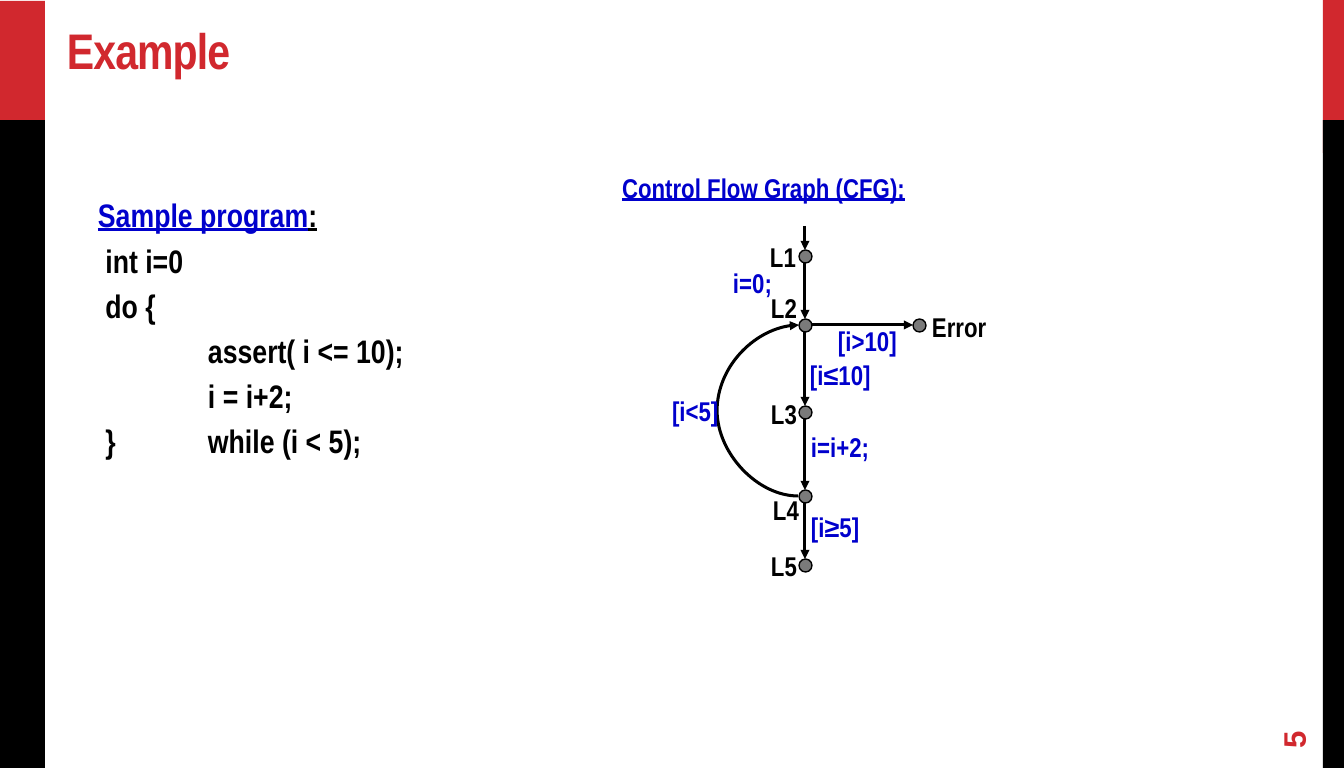
import pptx
import pptx.dml.color
import pptx.enum.shapes
import pptx.enum.text
import pptx.oxml.ns
import pptx.util
from lxml import etree

RED, BLACK, BLUE, GRAY = "D1282E", "000000", "0000CC", "7A7A7A"
EMU_PER_PX = 9375
ANCHOR = pptx.enum.text.MSO_ANCHOR
AUTO_SIZE = pptx.enum.text.MSO_AUTO_SIZE
SHAPE = pptx.enum.shapes.MSO_SHAPE
CONNECTOR = pptx.enum.shapes.MSO_CONNECTOR


def px(value):
    return pptx.util.Emu(value * EMU_PER_PX)


def color(hex_string):
    return pptx.dml.color.RGBColor.from_string(hex_string)


def add_xml(parent, tag, **attributes):
    return etree.SubElement(parent, pptx.oxml.ns.qn(tag), attributes)


def apply_format(target, values):
    for name, value in values.items():
        setattr(target, name, value)


class SlideBuilder:
    font_name = "Arial Narrow"
    node_size = 13
    line_width = 2.25

    def __init__(self, slide):
        self.slide = slide

    def shape(self, kind, box, fill, line=None):
        shape = self.slide.shapes.add_shape(kind, *map(px, box))
        shape.shadow.inherit = False
        shape.fill.solid()
        shape.fill.fore_color.rgb = color(fill)
        if line:
            shape.line.color.rgb = color(line)
            shape.line.width = pptx.util.Pt(1)
        else:
            shape.line.fill.background()
        return shape

    def node(self, center_x, center_y):
        half = self.node_size // 2
        box = (center_x - half, center_y - half, self.node_size, self.node_size)
        return self.shape(SHAPE.OVAL, box, GRAY, BLACK)

    def arrow(self, start, end, kind=CONNECTOR.STRAIGHT):
        connector = self.slide.shapes.add_connector(kind, *map(px, start + end))
        connector.line.color.rgb = color(BLACK)
        connector.line.width = pptx.util.Pt(self.line_width)
        add_xml(connector.line._get_or_add_ln(), "a:tailEnd", type="triangle")
        add_xml(connector._element.spPr, "a:effectLst")
        return connector

    def curve(self, start, end, bulge):
        connector = self.arrow(start, end, CONNECTOR.CURVE)
        adjust = round(bulge / (end[0] - start[0]) * 100000)
        guides = connector._element.spPr.prstGeom.get_or_add_avLst()
        add_xml(guides, "a:gd", name="adj1", fmla=f"val {adjust}")

    def run(self, paragraph, text, size, hex_string, **values):
        run = paragraph.add_run()
        run.text = text
        apply_format(run.font, {"name": self.font_name, "size": pptx.util.Pt(size),
                                "bold": True, **values})
        run.font.color.rgb = color(hex_string)
        return run

    def frame(self, shape, **values):
        apply_format(shape.text_frame, {
            "word_wrap": True, "auto_size": AUTO_SIZE.NONE,
            "margin_left": px(11), "margin_right": px(11),
            "margin_top": px(6), "margin_bottom": px(6), **values})
        return shape.text_frame

    def text_box(self, box):
        return self.slide.shapes.add_textbox(*map(px, box))

    def title(self, text, box):
        title = self.slide.shapes.title
        apply_format(title, dict(zip(("left", "top", "width", "height"), map(px, box))))
        paragraph = self.frame(title, vertical_anchor=ANCHOR.BOTTOM).paragraphs[0]
        paragraph.alignment = pptx.enum.text.PP_ALIGN.LEFT
        run = self.run(paragraph, text, 36.9, RED)
        run._r.get_or_add_rPr().set("spc", "-70")

    def program(self, box, heading, lines, tab):
        frame = self.frame(self.text_box(box))
        for index, line in enumerate([heading] + lines):
            paragraph = frame.paragraphs[0] if index == 0 else frame.add_paragraph()
            apply_format(paragraph, {"space_before": pptx.util.Pt(4.8),
                                     "space_after": pptx.util.Pt(6.8)})
            if index == 0:
                self.run(paragraph, line, 24, BLUE, underline=True)
                self.run(paragraph, ":", 24, BLACK, underline=True)
                continue
            paragraph.line_spacing = 0.75
            tabs = add_xml(paragraph._p.get_or_add_pPr(), "a:tabLst")
            add_xml(tabs, "a:tab", pos=str(px(tab)), algn="l")
            self.run(paragraph, line, 24, BLACK)

    def label(self, text, left, top, width, hex_string, **values):
        shape = self.text_box((left, top, width, 43))
        frame = self.frame(shape, word_wrap=False, auto_size=AUTO_SIZE.SHAPE_TO_FIT_TEXT,
                           margin_left=px(10), margin_right=px(10),
                           margin_top=px(5), margin_bottom=px(5))
        self.run(frame.paragraphs[0], text, 20, hex_string, **values)

    def page_number(self, text, box):
        shape = self.text_box(box)
        shape.rotation = 270
        frame = self.frame(shape, vertical_anchor=ANCHOR.MIDDLE)
        self.run(frame.paragraphs[0], text, 23, RED, name="Arial")


def main():
    presentation = pptx.Presentation()
    presentation.slide_width = px(1344)
    presentation.slide_height = px(768)
    builder = SlideBuilder(presentation.slides.add_slide(presentation.slide_layouts[5]))

    # Side bars
    for left, top, width in ((1323, 0, 21), (0, 1, 45)):
        builder.shape(SHAPE.RECTANGLE, (left, top, width, 153), RED)
        builder.shape(SHAPE.RECTANGLE, (left, 120, width, 648), BLACK)

    # Title and program
    builder.title("Example", (56, 17, 1254, 68))
    builder.program((87, 189, 393, 308), "Sample program", [
        " int i=0", " do {", "\tassert( i <= 10);", "\ti = i+2;", " }\twhile (i < 5);",
    ], tab=110)

    # Graph nodes, with arrows down the main column
    column, error_column, radius = 805, 919, 6
    levels = [256, 325, 412, 496, 565]
    for level in levels:
        builder.node(column, level)
    builder.node(error_column, levels[1])
    builder.arrow((column, 226), (column, levels[0] - radius))
    for upper, lower in zip(levels, levels[1:]):
        builder.arrow((column, upper + radius), (column, lower - radius))

    # Branch to the error node and loop back
    builder.arrow((column + radius, levels[1]), (error_column - radius, levels[1]))
    builder.curve((column - radius - 1, levels[3]), (column - radius, levels[1]), -81)

    # Node names
    for text, left, top, width in (
            ("L1", 760, 235, 46), ("L2", 761, 286, 46), ("L3", 761, 392, 46),
            ("L4", 763, 488, 46), ("L5", 761, 544, 46), ("Error", 922, 305, 78)):
        builder.label(text, left, top, width, BLACK)

    # Edge conditions and statements
    for text, left, top, width in (
            ("i=0;", 723, 261, 60), ("[i>10]", 828, 319, 84), ("[i≤10]", 800, 353, 84),
            ("i=i+2;", 801, 425, 81), ("[i<5]", 662, 389, 69), ("[i≥5]", 801, 505, 71)):
        builder.label(text, left, top, width, BLUE)
    builder.label("Control Flow Graph (CFG):", 612, 166, 306, BLUE, underline=True)

    builder.page_number("5", (1254, 703, 79, 33))
    presentation.save("out.pptx")


if __name__ == "__main__":
    main()
